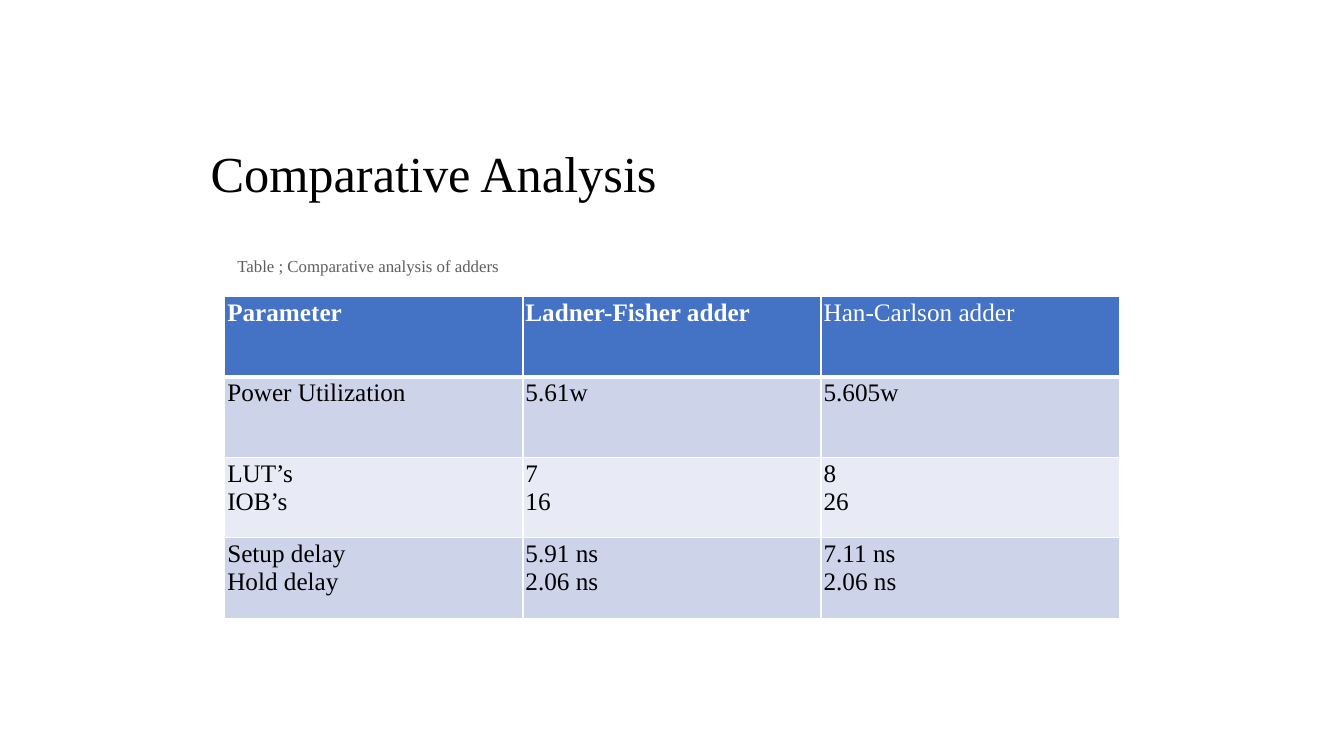
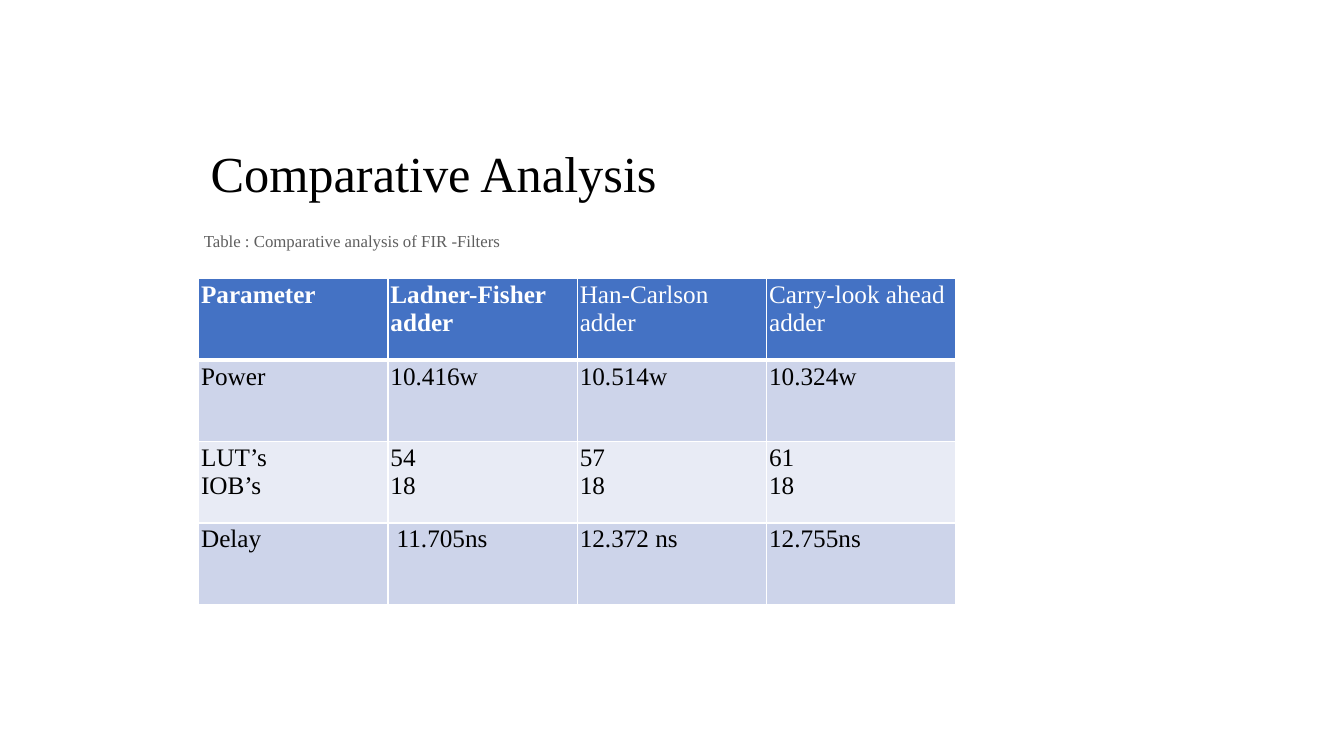
from lxml.etree import SubElement as Sub
from pptx import Presentation
from pptx.dml.color import RGBColor as RGB
from pptx.enum.text import MSO_ANCHOR as Anchor, MSO_AUTO_SIZE as Fit, PP_ALIGN as Align
from pptx.oxml.ns import qn
from pptx.util import Pt

SCALE = 9144
FONT = "Times New Roman"
BLACK = RGB(0x00, 0x00, 0x00)
WHITE = RGB(0xFF, 0xFF, 0xFF)
GREY = RGB(0x5E, 0x5E, 0x5E)
BLUE = RGB(0x44, 0x72, 0xC4)
MIST = RGB(0xCD, 0xD4, 0xEA)
PALE = RGB(0xE8, 0xEB, 0xF5)

ADDERS = [
    ["Parameter", "Ladner-Fisher adder", "Han-Carlson adder"],
    ["Power Utilization", "5.61w", "5.605w"],
    ["LUT’s\nIOB’s", "7\n16", "8\n26"],
    ["Setup delay\nHold delay", "5.91 ns\n2.06 ns", "7.11 ns\n2.06 ns"],
]
FILTERS = [
    ["Parameter", "Ladner-Fisher adder", "Han-Carlson adder", "Carry-look ahead adder"],
    ["Power", "10.416w", "10.514w", "10.324w"],
    ["LUT’s\nIOB’s", "54\n18", "57\n18", "61\n18"],
    ["Delay", " 11.705ns", "12.372 ns", "12.755ns"],
]


def px(*sizes):
    return [size * SCALE for size in sizes]


def pad(item, size):
    item.margin_left = item.margin_top = size * SCALE
    item.margin_right = item.margin_bottom = size * SCALE


def write(para, text, size, color, bold=False):
    for num, line in enumerate(text.split("\n")):
        if num:
            para.add_line_break()
        run = para.add_run()
        run.text = line
        font = run.font
        font.name, font.size, font.bold = FONT, Pt(size), bold
        font.color.rgb = color


def label(slide, box, text, size, color, align, anchor, inset):
    frame = slide.shapes.add_textbox(*px(*box)).text_frame
    frame.word_wrap = False
    frame.auto_size = Fit.SHAPE_TO_FIT_TEXT
    frame.vertical_anchor = anchor
    pad(frame, inset)
    para = frame.paragraphs[0]
    para.alignment = align
    write(para, text, size, color)


def title(slide):
    label(slide, (408, 271, 907, 131), "Comparative Analysis", 72, BLACK,
          Align.JUSTIFY, Anchor.TOP, 10)


def caption(slide, box, text):
    label(slide, box, text, 24, GREY, Align.CENTER, Anchor.MIDDLE, 6)


def border(cell, side, width):
    line = Sub(cell._tc.get_or_add_tcPr(), qn("a:ln" + side), w=str(Pt(width)))
    Sub(Sub(line, qn("a:solidFill")), qn("a:srgbClr"), val=str(WHITE))


def style(cell, row):
    thick = {0: "B", 1: "T"}.get(row)
    for side in "LRTB":
        border(cell, side, 6 if side == thick else 2)
    cell.fill.solid()
    cell.fill.fore_color.rgb = BLUE if row == 0 else MIST if row % 2 else PALE
    pad(cell, 5)


def grid(slide, box, data):
    left, top, width, height = px(*box)
    rows, cols = len(data), len(data[0])
    table = slide.shapes.add_table(rows, cols, left, top, width, height).table
    for col in table.columns:
        col.width = width // cols
    for row, texts in enumerate(data):
        table.rows[row].height = height // rows
        for col, text in enumerate(texts):
            cell = table.cell(row, col)
            style(cell, row)
            write(cell.text_frame.paragraphs[0], text, 36,
                  BLACK if row else WHITE, row == 0 and col < 2)


def page(deck, data, area, note, spot):
    slide = deck.slides.add_slide(deck.slide_layouts[6])
    grid(slide, area, data)
    title(slide)
    caption(slide, spot, note)


def main():
    deck = Presentation()
    deck.slide_width, deck.slide_height = px(2667, 1500)
    page(deck, ADDERS, (446, 588, 1775, 639),
         "Table ; Comparative analysis of adders", (465, 503, 531, 47))
    page(deck, FILTERS, (394, 553, 1503, 646),
         "Table : Comparative analysis of FIR -Filters", (395, 451, 607, 52))
    deck.save("out.pptx")


if __name__ == "__main__":
    main()
